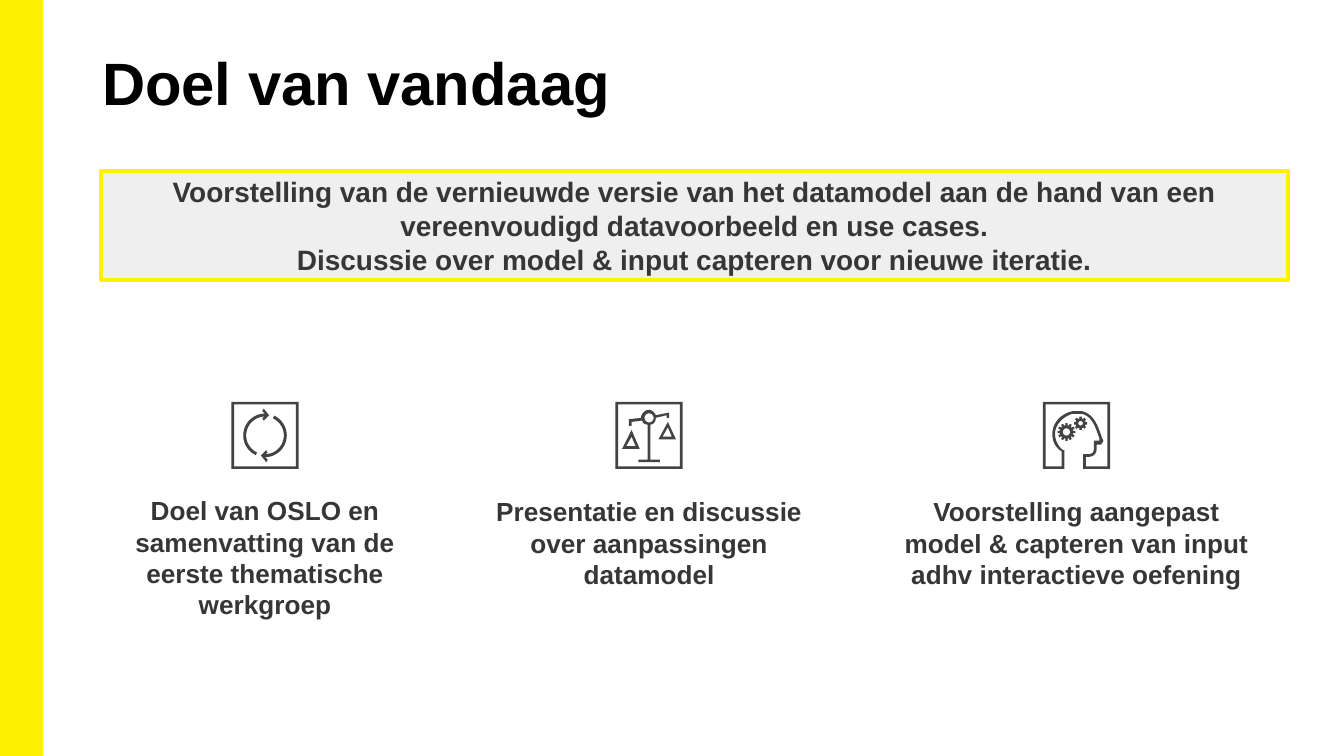
import math
from dataclasses import dataclass

import pptx
import pptx.dml.color
import pptx.enum.shapes
import pptx.enum.text
import pptx.util

Pt = pptx.util.Pt
CENTER = pptx.enum.text.PP_ALIGN.CENTER
LEFT = pptx.enum.text.PP_ALIGN.LEFT
MIDDLE = pptx.enum.text.MSO_ANCHOR.MIDDLE
TOP = pptx.enum.text.MSO_ANCHOR.TOP


@dataclass(frozen=True)
class Theme:
    font: str = "Arial"
    accent: str = "FFF200"
    panel: str = "EFEFEF"
    title: str = "000000"
    text: str = "373636"
    icon: str = "434343"
    title_size: float = 32
    panel_size: float = 15
    caption_size: float = 14


GRID = 50
ICON_SIZE = 36
ICON_TOP = 215.25


def arc(center, radius, start, end, steps=24):
    angles = [math.radians(start + (end - start) * i / steps) for i in range(steps + 1)]
    return [(center[0] + radius * math.cos(a), center[1] + radius * math.sin(a))
            for a in angles]


def curve(start, control_1, control_2, end, steps=10):
    points = []
    for i in range(steps + 1):
        t = i / steps
        weights = ((1 - t) ** 3, 3 * t * (1 - t) ** 2, 3 * t ** 2 * (1 - t), t ** 3)
        points.append(tuple(
            sum(w * p[axis] for w, p in zip(weights, (start, control_1, control_2, end)))
            for axis in (0, 1)))
    return points


def gear(center, radius, root, hole, teeth):
    pitch = 360 / teeth
    outline = []
    for tooth in range(teeth):
        angle = tooth * pitch
        outline += arc(center, radius, angle - pitch / 4, angle + pitch / 4, 1)
        outline += arc(center, root, angle + pitch / 3, angle + pitch * 2 / 3, 1)
    return [outline, arc(center, hole, 360, 0)]


def square(inset):
    far = GRID - inset
    return [(inset, inset), (inset, far), (far, far), (far, inset)]


def cycle_icon():
    center = (25, 25)
    arrow = (arc(center, 14, 115, 270)
             + [(23, 12), (24, 14), (28, 10), (24, 5), (23, 7), (24, 8)]
             + arc(center, 16.2, 270, 115))
    turned = [(GRID - x, GRID - y) for x, y in arrow]
    return [[square(0), square(2)], [arrow], [turned]]


def scales_icon():
    stand = ([(12, 15)] + curve((20, 14), (20, 16), (22, 17), (24, 17))
             + [(24, 43), (17, 43), (17, 45), (33, 45), (33, 43), (26, 43)]
             + curve((26, 17), (28, 17), (30, 15), (30, 12))
             + [(38, 10), (38, 12), (40, 12), (40, 8)]
             + curve((30, 10), (29, 8), (27, 6), (25, 6))
             + curve((25, 6), (22, 6), (19, 9), (19, 12))
             + [(10, 13), (10, 18), (12, 18)])
    left_pan = [[(12, 21), (5, 35), (18, 35)], [(12, 26), (15, 33), (8, 33)]]
    right_pan = [[(32, 28), (45, 28), (39, 15)], [(35, 26), (39, 19), (42, 26)]]
    pivot = arc((25, 12), 3.4, 0, 360)
    return [[square(0), square(2), *left_pan, *right_pan, stand, pivot]]


def head_icon():
    outer = ([(0, 0), (0, 50), (16, 50), (16, 36)]
             + curve((15, 36), (11, 33), (9, 28), (9, 24))
             + curve((9, 24), (9, 17), (15, 11), (22, 9))
             + curve((29, 9), (37, 11), (39, 19), (42, 27))
             + [(42, 29), (38, 29)]
             + curve((38, 35), (38, 38), (36, 39), (34, 39))
             + [(30, 39), (30, 50), (50, 50), (50, 0)])
    inner = ([(48, 48), (32, 48), (32, 41)]
             + curve((34, 41), (37, 41), (40, 39), (40, 35))
             + [(40, 32), (43, 32), (44, 31), (45, 29)]
             + curve((44, 27), (41, 18), (38, 9), (29, 7))
             + curve((22, 7), (13, 9), (7, 16), (7, 24))
             + curve((7, 24), (7, 29), (9, 34), (14, 37))
             + [(14, 48), (2, 48), (2, 2), (48, 2)])
    return [[outer, inner],
            gear((17.5, 22.5), 6.6, 5, 2.7, 12),
            gear((28, 16), 5, 3.7, 1.7, 8)]


def write_text(shape, text, *, font, size, color, align=LEFT, anchor=TOP, margins=(7.2, 3.6)):
    frame = shape.text_frame
    frame.word_wrap = True
    frame.vertical_anchor = anchor
    frame.margin_left = frame.margin_right = Pt(margins[0])
    frame.margin_top = frame.margin_bottom = Pt(margins[1])
    frame.text = text
    for paragraph in frame.paragraphs:
        paragraph.alignment = align
        paragraph.font.name = font
        paragraph.font.size = Pt(size)
        paragraph.font.bold = True
        paragraph.font.color.rgb = pptx.dml.color.RGBColor.from_string(color)


class SlideBuilder:
    def __init__(self, slide, theme):
        self.slide = slide
        self.theme = theme

    def paint(self, shape, fill, line=None, width=1):
        shape.shadow.inherit = False
        shape.fill.solid()
        shape.fill.fore_color.rgb = pptx.dml.color.RGBColor.from_string(fill)
        if line is None:
            shape.line.fill.background()
        else:
            shape.line.color.rgb = pptx.dml.color.RGBColor.from_string(line)
            shape.line.width = Pt(width)

    def rectangle(self, left, top, width, height, fill, line, line_width):
        shape = self.slide.shapes.add_shape(
            pptx.enum.shapes.MSO_SHAPE.RECTANGLE, Pt(left), Pt(top), Pt(width), Pt(height))
        self.paint(shape, fill, line, line_width)
        return shape

    def text_box(self, left, top, width, height, text, **style):
        shape = self.slide.shapes.add_textbox(Pt(left), Pt(top), Pt(width), Pt(height))
        write_text(shape, text, font=self.theme.font, **style)

    def icon(self, center, parts):
        unit = Pt(ICON_SIZE / GRID)
        for contours in parts:
            scaled = [[(x * unit, y * unit) for x, y in contour] for contour in contours]
            builder = self.slide.shapes.build_freeform(*scaled[0][0])
            builder.add_line_segments(scaled[0][1:], close=True)
            for contour in scaled[1:]:
                builder.move_to(*contour[0])
                builder.add_line_segments(contour[1:], close=True)
            shape = builder.convert_to_shape(Pt(center - ICON_SIZE / 2), Pt(ICON_TOP))
            self.paint(shape, self.theme.icon)

    def topic(self, center, top, width, text, parts):
        self.text_box(center - width / 2, top, width, 92, text, align=CENTER,
                      size=self.theme.caption_size, color=self.theme.text)
        self.icon(center, parts)


def main():
    presentation = pptx.Presentation()
    presentation.slide_width, presentation.slide_height = Pt(720), Pt(405)
    theme = Theme()
    builder = SlideBuilder(
        presentation.slides.add_slide(presentation.slide_layouts[6]), theme)

    builder.rectangle(0, 0, 22.5, 405, theme.accent, theme.accent, 1)
    builder.text_box(49.75, 21.5, 620.5, 58.5, "Doel van vandaag",
                     size=theme.title_size, color=theme.title, margins=(5, 2.9))
    panel = builder.rectangle(54, 91.5, 636, 58.5, theme.panel, theme.accent, 2.25)
    write_text(panel,
               "Voorstelling van de vernieuwde versie van het datamodel aan de hand van een "
               "vereenvoudigd datavoorbeeld en use cases.\n"
               "Discussie over model & input capteren voor nieuwe iteratie.",
               font=theme.font, size=theme.panel_size, color=theme.text,
               align=CENTER, anchor=MIDDLE)

    topics = [
        (142, 261.5, 196, "Doel van OSLO en samenvatting van de eerste thematische werkgroep",
         cycle_icon()),
        (347.75, 262, 201.5, "Presentatie en discussie over aanpassingen datamodel",
         scales_icon()),
        (576.75, 262, 201.5,
         "Voorstelling aangepast model & capteren van input adhv interactieve oefening",
         head_icon()),
    ]
    for topic in topics:
        builder.topic(*topic)

    presentation.save("out.pptx")


if __name__ == "__main__":
    main()
